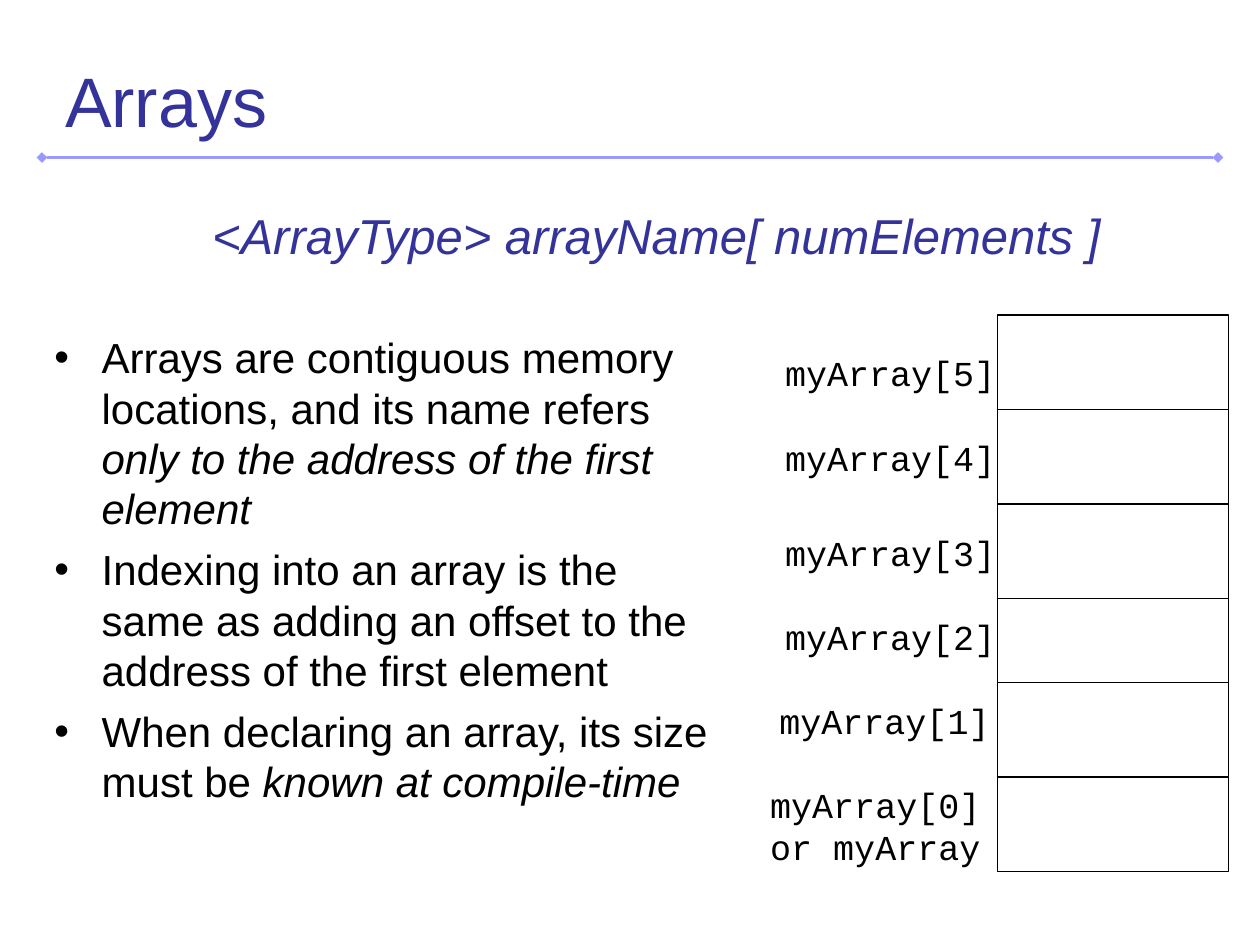
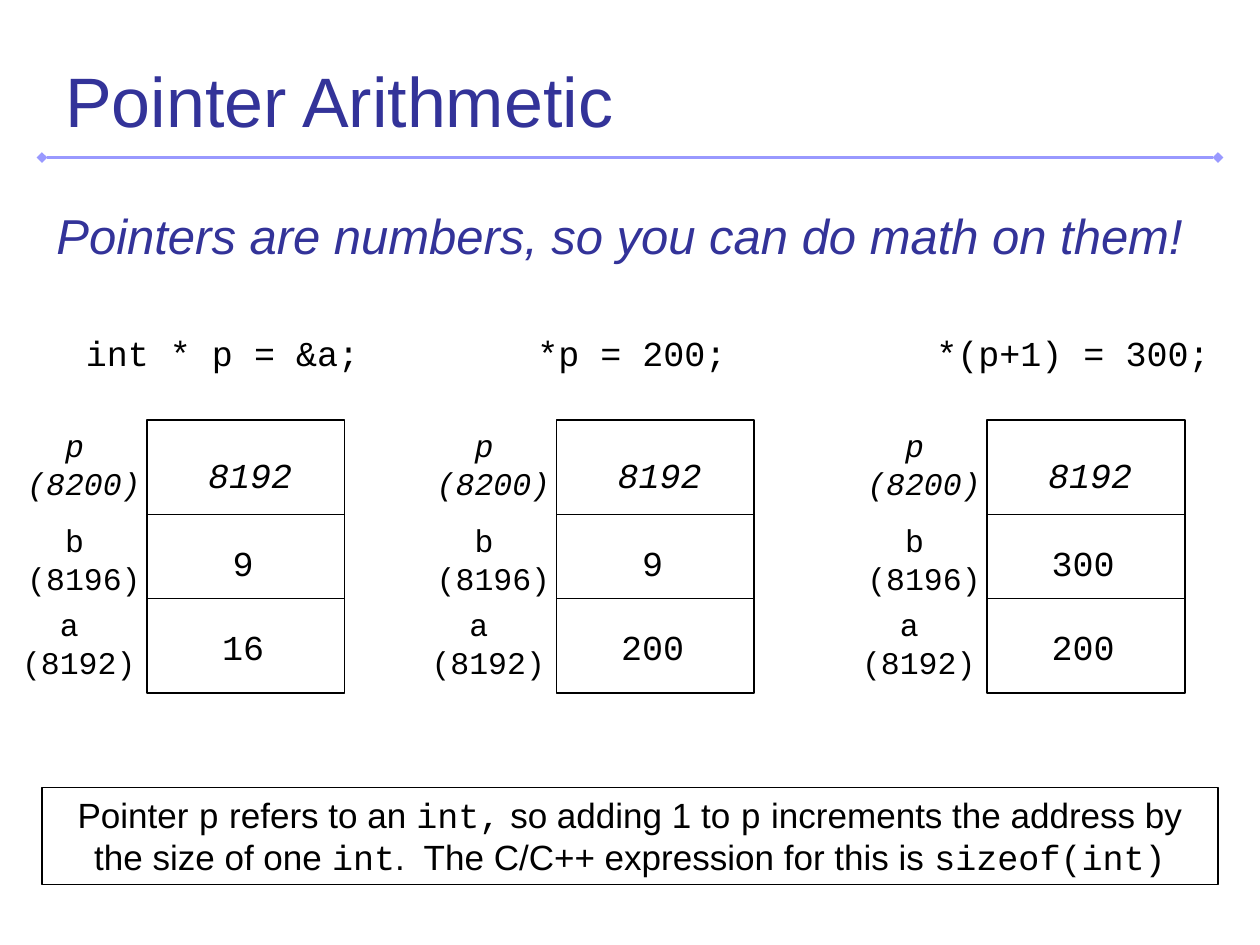
from lxml import etree
from pptx import Presentation
from pptx.dml.color import RGBColor
from pptx.enum import shapes, text
from pptx.oxml import ns
from pptx.util import Pt

INK, NAVY, RULE, WHITE = "000000", "333399", "9999FF", "FFFFFF"
SANS, MONO = "Arial", "Courier New"
LEFT, MID = text.PP_ALIGN.LEFT, text.PP_ALIGN.CENTER


def color(code):
    """Turn a hex string into a colour."""
    return RGBColor.from_string(code)


def write(frame, paras, size=20, font=SANS, ink=INK, italic=False, align=MID,
          wrap=True, anchor=text.MSO_ANCHOR.TOP, mark=None, bullet=False, gap=0):
    """Fill a frame; each paragraph is a list whose odd pieces take the mark format."""
    frame.word_wrap, frame.auto_size = wrap, text.MSO_AUTO_SIZE.NONE
    frame.vertical_anchor = anchor
    frame.margin_left = frame.margin_right = Pt(7.2)
    frame.margin_top = frame.margin_bottom = Pt(3.6)
    for i, pieces in enumerate([[paras]] if isinstance(paras, str) else paras):
        para = frame.add_paragraph() if i else frame.paragraphs[0]
        para.alignment = align
        para.space_before = Pt(gap if i else 0)
        if bullet:
            props = para._p.get_or_add_pPr()
            props.set("marL", str(Pt(27)))
            props.set("indent", str(Pt(-27)))
            etree.SubElement(props, ns.qn("a:buFont"), typeface=SANS)
            etree.SubElement(props, ns.qn("a:buChar"), char="•")
        for j, piece in enumerate(pieces):
            style = {"name": font, "italic": italic, **((mark or {}) if j % 2 else {})}
            for k, line in enumerate(piece.split("\n")):
                if k:
                    para.add_line_break()
                run = para.add_run()
                run.text = line
                run.font.size = Pt(size)
                run.font.color.rgb = color(ink)
                run.font.name, run.font.italic = style["name"], style["italic"]


class Deck:
    """Holds the shared style and the current slide."""

    def __init__(self):
        """Open an empty 4:3 deck."""
        self.prs = Presentation()
        self.prs.slide_width, self.prs.slide_height = Pt(720), Pt(540)

    def page(self, title):
        """Start a slide with its title and rule."""
        self.slide = self.prs.slides.add_slide(self.prs.slide_layouts[5])
        head = self.slide.shapes.title
        head.left, head.top, head.width, head.height = Pt(30), Pt(24), Pt(636), Pt(66)
        write(head.text_frame, title, size=40, ink=NAVY, align=LEFT,
              anchor=text.MSO_ANCHOR.MIDDLE)
        self.line(24, 90, 696, RULE, 2, "diamond")

    def line(self, left, y, right, ink=INK, width=1, tip=None):
        """Draw a level line, with tips if named."""
        line = self.slide.shapes.add_connector(
            shapes.MSO_CONNECTOR.STRAIGHT, Pt(left), Pt(y), Pt(right), Pt(y))
        line.line.color.rgb, line.line.width = color(ink), Pt(width)
        props = line._element.spPr
        etree.SubElement(props, ns.qn("a:effectLst"))
        if tip:
            for end in ("a:headEnd", "a:tailEnd"):
                etree.SubElement(props.find(ns.qn("a:ln")), ns.qn(end), type=tip)

    def text(self, words, x, y, w, h, **form):
        """Place a text box."""
        box = self.slide.shapes.add_textbox(Pt(x), Pt(y), Pt(w), Pt(h))
        write(box.text_frame, words, **form)

    def code(self, words, mid, y, size=20, **form):
        """Place code centred on a given x."""
        self.text(words, mid - 68, y, 136, 32, size=size, font=MONO, **form)

    def box(self, x, y, w, h, fill=None, width=1):
        """Draw an outlined rectangle."""
        box = self.slide.shapes.add_shape(
            shapes.MSO_SHAPE.RECTANGLE, Pt(x), Pt(y), Pt(w), Pt(h))
        box.shadow.inherit = False
        if fill:
            box.fill.solid()
            box.fill.fore_color.rgb = color(fill)
        else:
            box.fill.background()
        box.line.color.rgb, box.line.width = color(INK), Pt(width)
        return box

    def stack(self, x, w, edges):
        """Draw memory cells between the given edges."""
        self.box(x, edges[0], w, edges[-1] - edges[0], WHITE)
        for y in edges[1:-1]:
            self.line(x, y, x + w)

    def lead(self, words, x, w):
        """Place the slanted key line under the rule."""
        self.text(words, x, 114, w, 41, size=28, ink=NAVY, italic=True)


def arrays(deck):
    """Build the slide on arrays."""
    deck.page("Arrays")
    deck.text([
        ["Arrays are contiguous memory locations, and its name refers ",
         "only to the address of the first element"],
        ["Indexing into an array is the same as adding an offset to the "
         "address of the first element"],
        ["When declaring an array, its size must be ", "known at compile-time"],
    ], 24, 186, 396, 318, size=24, align=LEFT, bullet=True, gap=6,
        mark={"italic": True})
    deck.stack(570, 132, [180, 234, 288, 342, 390, 444, 498])
    for i, (mid, y) in enumerate([(505.5, 396), (508.75, 348), (508.75, 300),
                                  (508.75, 246), (508.75, 197.5)], 1):
        deck.code(f"myArray[{i}]", mid, y, wrap=False)
    deck.code("myArray[0] or myArray", 500.25, 444)
    deck.lead("<ArrayType> arrayName[ numElements ]", 102, 546)


def pointers(deck):
    """Build the slide on pointer arithmetic."""
    deck.page("Pointer Arithmetic")
    deck.lead("Pointers are numbers, so you can do math on them!", 15, 678)
    edges = [240, 294, 342, 396]
    for x, start, step, cells in [
            (84, 42, "int * p = &a;", ("8192", "9", "16")),
            (318, 300, "*p = 200;", ("8192", "9", "200")),
            (564, 528, "*(p+1) = 300;", ("8192", "300", "200"))]:
        deck.text(step, start, 186, 174, 32, font=MONO, align=LEFT)
        deck.stack(x, 113, edges)
        for i, (name, spot, cell) in enumerate(zip("pba", (8200, 8196, 8192), cells)):
            slant = name == "p"
            deck.code(f"{name} \n({spot})", x - (39 if name == "a" else 36), edges[i],
                      size=18, italic=slant, wrap=False)
            deck.code(cell, x + (59 if slant else 55), (255.5, 306, 354)[i],
                      italic=slant, wrap=False)
    note = deck.box(24, 450, 672, 55.5, width=0.75)
    write(note.text_frame, [[
        "Pointer ", "p", " refers to an ", "int,", " so adding 1 to ", "p",
        " increments the address by the size of one ", "int",
        ".  The C/C++ expression for this is ", "sizeof(int)"]], mark={"name": MONO})


def main():
    """Build and save the deck."""
    deck = Deck()
    arrays(deck)
    pointers(deck)
    deck.prs.save("out.pptx")


if __name__ == "__main__":
    main()
